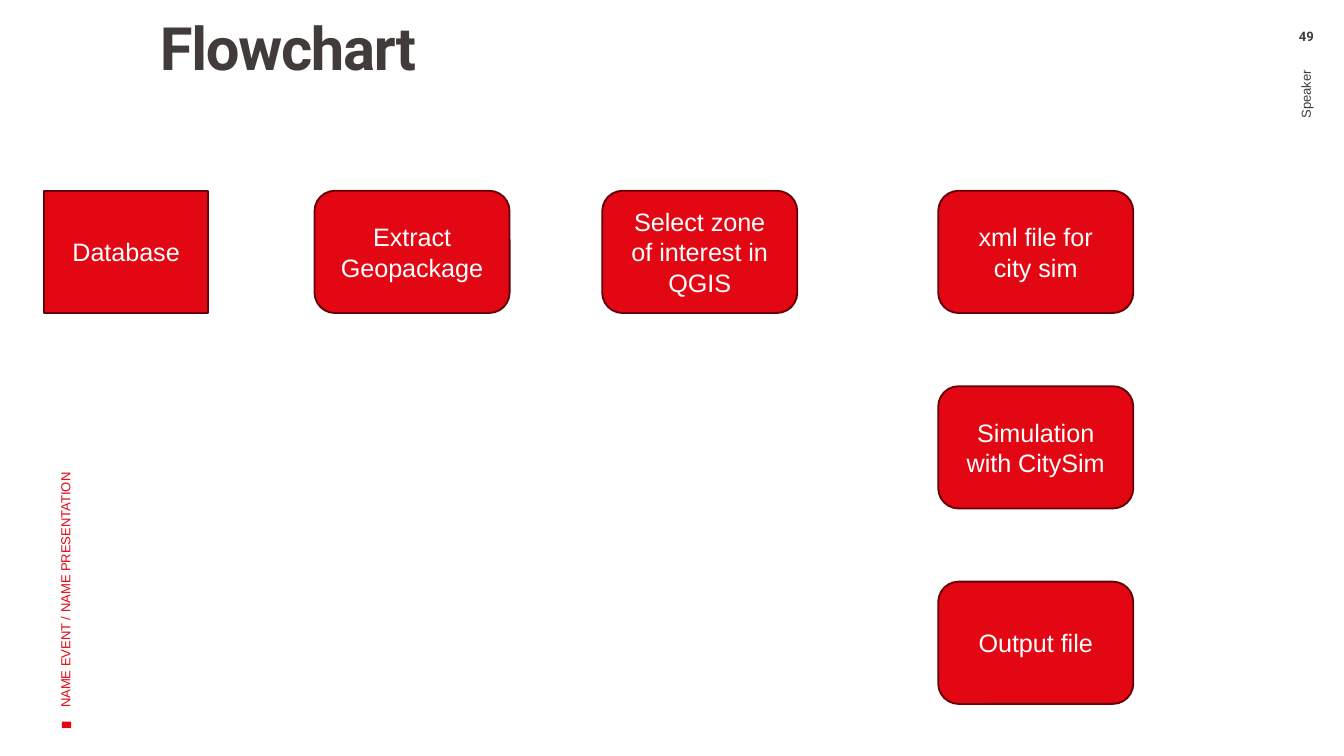
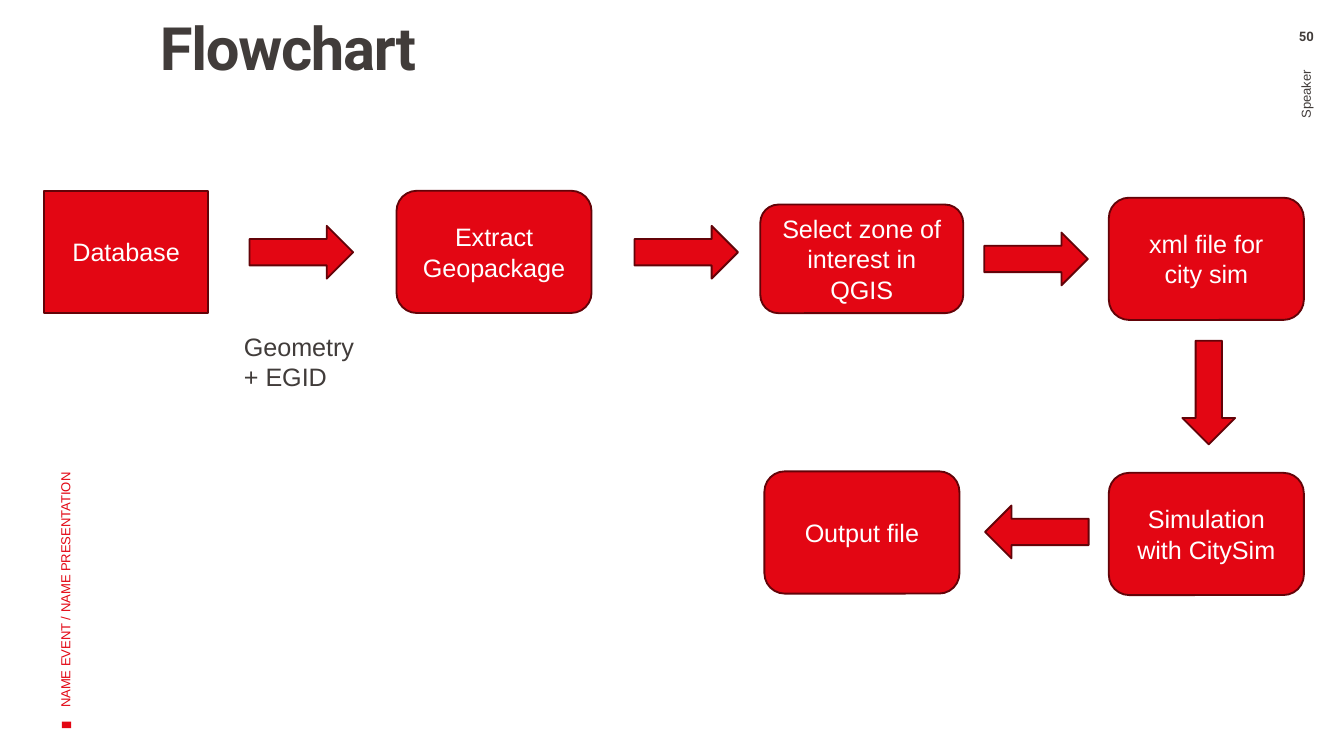
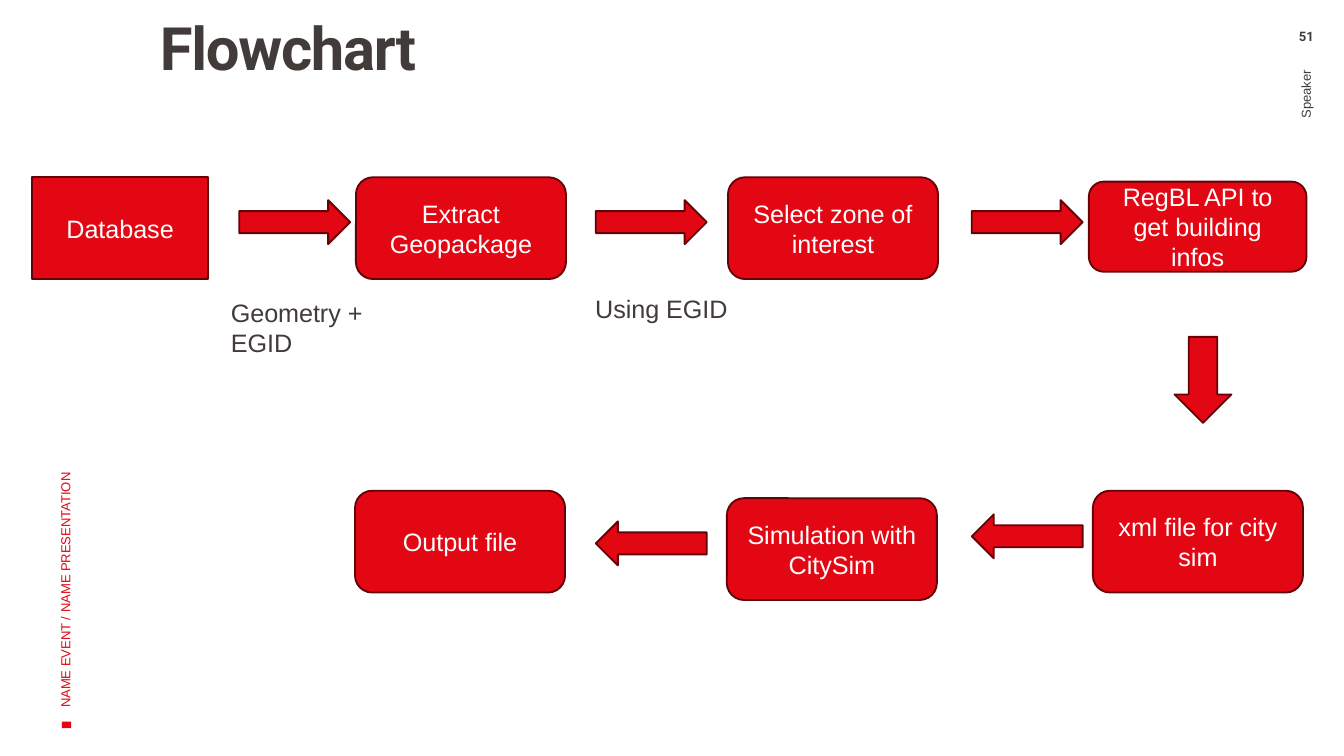
from pptx import Presentation
from pptx.dml.color import RGBColor
from pptx.enum.shapes import MSO_SHAPE
from pptx.enum.text import MSO_ANCHOR, MSO_AUTO_SIZE, PP_ALIGN
from pptx.util import Pt

RED, DARK_RED, DARK, WHITE = "E30613", "630308", "413C3A", "FFFFFF"
BODY_FONT, TITLE_FONT = "Arial", "Roboto"
BODY_SIZE, FOOTER_SIZE = 13.5, 7
DEFAULT_INSETS = (7.2, 3.6, 7.2, 3.6)
RIGHT, DOWN, LEFT = 0, 90, 180

TITLE = "Flowchart"
EVENT = "NAME EVENT / NAME PRESENTATION"
SPEAKER = "Speaker "
FIRST_NUMBER = 49

# Slide 1 stacks its last three steps at an even pitch.
STACK_LEFT, STACK_TOP, STACK_PITCH = 502.6, 102.2, 104.7
STACK = ["xml file for city sim", "Simulation with CitySim", "Output file"]

# Database: left, top, width. Steps: text, left, top and, if special, width and height.
# Arrows: left, top, direction and, if special, width and height.
# Labels: text, left, top, width, height.
FLOWCHARTS = [
    {
        "database": (23.6, 102.2, 88),
        "step_size": (104.5, 65.5),
        "steps": [
            ("Extract Geopackage", 168.5, 102.2),
            ("Select zone of interest in QGIS", 322.6, 102.2),
        ] + [
            (text, STACK_LEFT, STACK_TOP + row * STACK_PITCH)
            for row, text in enumerate(STACK)
        ],
        "arrow_size": (55.5, 28.3),
        "arrows": [],
        "labels": [],
    },
    {
        "database": (23.6, 102.2, 88),
        "step_size": (104.5, 65.5),
        "steps": [
            ("Extract Geopackage", 212.4, 102.2),
            ("Select zone of interest in QGIS", 407.3, 109.6, 108.7, 58.2),
            ("xml file for city sim", 594, 105.9),
            ("Simulation with CitySim", 594, 253.3),
            ("Output file", 409.5, 252.5),
        ],
        "arrow_size": (55.5, 28.3),
        "arrows": [
            (133.7, 121, RIGHT),
            (339.9, 121, RIGHT),
            (527.3, 124.6, RIGHT),
            (619.8, 196.2, DOWN),
            (527.7, 270.8, LEFT),
        ],
        "labels": [("Geometry + EGID", 123.6, 173.8, 78.5, 40.3)],
    },
    {
        "database": (17.2, 95, 94.4),
        "step_size": (112.5, 54.5),
        "steps": [
            ("Extract Geopackage", 190.7, 95),
            ("Select zone of interest", 390, 95),
            ("RegBL API to get building infos", 583.3, 97.3, 116.6, 48.3),
            ("xml file for city sim", 585.5, 262.9),
            ("Simulation with CitySim", 389.4, 266.9),
            ("Output file", 190.2, 262.9),
        ],
        "arrow_size": (59.4, 23.6),
        "arrows": [
            (128.2, 107.2, RIGHT),
            (319.2, 107.2, RIGHT),
            (520.6, 107.2, RIGHT),
            (621.4, 188.3, DOWN, 46.1, 30.5),
            (520.6, 275.5, LEFT),
            (319.2, 279.3, LEFT),
        ],
        "labels": [
            ("Geometry + EGID", 116.6, 155.7, 85, 40.3),
            ("Using EGID", 311.8, 153.4, 96.5, 23.8),
        ],
    },
]


def color(hex_string):
    return RGBColor.from_string(hex_string)


def write(shape, text, size=BODY_SIZE, font=BODY_FONT, fill=DARK, bold=False,
          align=PP_ALIGN.LEFT, anchor=MSO_ANCHOR.TOP, insets=DEFAULT_INSETS):
    """Put one styled run into the shape and return its paragraph and run."""
    frame = shape.text_frame
    frame.word_wrap = True
    frame.vertical_anchor = anchor
    (frame.margin_left, frame.margin_top,
     frame.margin_right, frame.margin_bottom) = map(Pt, insets)
    paragraph = frame.paragraphs[0]
    paragraph.alignment = align
    run = paragraph.add_run()
    run.text = text
    run.font.size = Pt(size)
    run.font.name = font
    run.font.bold = bold
    run.font.color.rgb = color(fill)
    return paragraph, run


def add_text(slide, box, text, rotation=0, **style):
    shape = slide.shapes.add_textbox(*map(Pt, box))
    shape.rotation = rotation
    return shape, *write(shape, text, **style)


def add_red_shape(slide, preset, box, rotation=0, outlined=True):
    shape = slide.shapes.add_shape(preset, *map(Pt, box))
    shape.rotation = rotation
    shape.shadow.inherit = False
    shape.fill.solid()
    shape.fill.fore_color.rgb = color(RED)
    if outlined:
        shape.line.color.rgb = color(DARK_RED)
        shape.line.width = Pt(1)
    else:
        shape.line.fill.background()
    return shape


def add_step(slide, preset, box, text):
    write(add_red_shape(slide, preset, box), text, fill=WHITE,
          align=PP_ALIGN.CENTER, anchor=MSO_ANCHOR.MIDDLE)


def add_frame(slide, number):
    """Add the title, the side texts and the page number."""
    add_red_shape(slide, MSO_SHAPE.RECTANGLE, (33.9, 385.8, 3.6, 5), 270, outlined=False)
    _, paragraph, run = add_text(slide, (71.3, 10.1, 288.7, 94.3), TITLE, size=32,
                                 font=TITLE_FONT, bold=True, insets=(14.4, 0, 5.8, 3.6))
    paragraph.line_spacing = 0.9
    run.font._element.set("spc", "-70")
    add_text(slide, (-96.5, 218.9, 262.8, 72), EVENT, 270, size=FOOTER_SIZE,
             fill=RED, anchor=MSO_ANCHOR.MIDDLE)
    add_text(slide, (560.2, 147.6, 278.6, 40.3), SPEAKER, 270, size=FOOTER_SIZE,
             align=PP_ALIGN.RIGHT, anchor=MSO_ANCHOR.MIDDLE)
    add_text(slide, (679.7, 15.1, 40.3, 13), str(number), size=FOOTER_SIZE,
             font=TITLE_FONT, bold=True, align=PP_ALIGN.CENTER, insets=(7.2, 0, 7.2, 0))


def add_flowchart(slide, flowchart):
    step_size, arrow_size = flowchart["step_size"], flowchart["arrow_size"]
    add_step(slide, MSO_SHAPE.RECTANGLE, (*flowchart["database"], step_size[1]), "Database")
    for text, left, top, *size in flowchart["steps"]:
        add_step(slide, MSO_SHAPE.ROUNDED_RECTANGLE, (left, top, *(size or step_size)), text)
    for left, top, direction, *size in flowchart["arrows"]:
        add_red_shape(slide, MSO_SHAPE.RIGHT_ARROW, (left, top, *(size or arrow_size)), direction)
    for text, *box in flowchart["labels"]:
        label, _, _ = add_text(slide, box, text)
        label.text_frame.auto_size = MSO_AUTO_SIZE.SHAPE_TO_FIT_TEXT


def main():
    presentation = Presentation()
    presentation.slide_width, presentation.slide_height = Pt(720), Pt(405)
    for number, flowchart in enumerate(FLOWCHARTS, FIRST_NUMBER):
        slide = presentation.slides.add_slide(presentation.slide_layouts[6])
        slide.background.fill.solid()
        slide.background.fill.fore_color.rgb = color(WHITE)
        add_frame(slide, number)
        add_flowchart(slide, flowchart)
    presentation.save("out.pptx")


if __name__ == "__main__":
    main()
